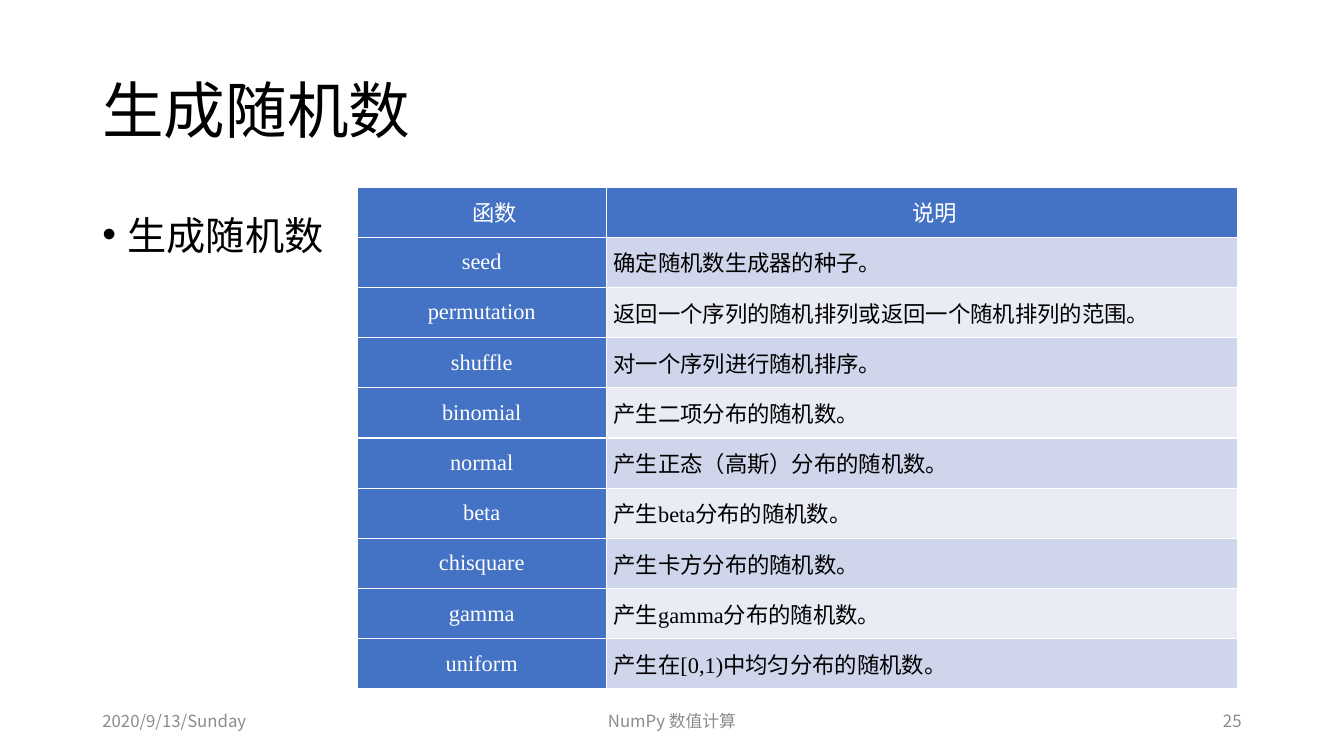
from pptx import Presentation
from pptx.dml.color import RGBColor
from pptx.enum.text import MSO_ANCHOR, PP_ALIGN
from pptx.oxml.ns import qn
from pptx.util import Cm, Pt
from lxml.etree import SubElement

TITLE = "生成随机数"
BULLET = "生成随机数"
FOOTERS = [
    ("2020/9/13/Sunday", 2.33, 7.62, PP_ALIGN.LEFT),
    ("NumPy 数值计算", 11.22, 11.43, PP_ALIGN.CENTER),
    ("25", 23.92, 7.62, PP_ALIGN.RIGHT),
]
HEADINGS = ("函数", "说明")
FUNCTIONS = [
    ("seed", "确定随机数生成器的种子。"),
    ("permutation", "返回一个序列的随机排列或返回一个随机排列的范围。"),
    ("shuffle", "对一个序列进行随机排序。"),
    ("binomial", "产生二项分布的随机数。"),
    ("normal", "产生正态（高斯）分布的随机数。"),
    ("beta", "产生beta分布的随机数。"),
    ("chisquare", "产生卡方分布的随机数。"),
    ("gamma", "产生gamma分布的随机数。"),
    ("uniform", "产生在[0,1)中均匀分布的随机数。"),
]
COLORS = {
    "text": "000000", "footer": "8C8C8C", "white": "FFFFFF",
    "header": "4472C4", "odd": "CFD5EA", "even": "E9EBF5",
}
SANS, SERIF = "Noto Sans CJK SC", "Times New Roman"
COLUMN_WIDTHS = (6.28, 15.9)
TABLE_LEFT, TABLE_TOP, TABLE_HEIGHT = 9, 4.71, 12.65


def write(frame, text, size, color="text", font=SANS, align=PP_ALIGN.LEFT,
          spacing=None, before=None, margin=0, indent=0, bullet=None):
    frame.word_wrap = True
    paragraph = frame.paragraphs[0]
    paragraph.alignment = align
    paragraph.line_spacing = spacing
    if before is not None:
        paragraph.space_before = Pt(before)
    properties = paragraph._p.get_or_add_pPr()
    properties.set("marL", str(Cm(margin)))
    properties.set("indent", str(Cm(indent)))
    if bullet:
        SubElement(properties, qn("a:buFont")).set("typeface", "Arial")
        SubElement(properties, qn("a:buChar")).set("char", bullet)
    run = paragraph.add_run()
    run.text = text
    run.font.size = Pt(size)
    run.font.bold = False
    run.font.name = font
    run.font.color.rgb = RGBColor.from_string(COLORS[color])
    SubElement(run._r.get_or_add_rPr(), qn("a:ea")).set("typeface", SANS)


def add_box(slide, left, top, width, height, anchor):
    box = slide.shapes.add_textbox(Cm(left), Cm(top), Cm(width), Cm(height))
    box.text_frame.vertical_anchor = anchor
    return box.text_frame


def style_cell(cell, fill):
    cell.margin_left = cell.margin_right = Cm(0.18)
    cell.margin_top = cell.margin_bottom = 0
    cell.vertical_anchor = MSO_ANCHOR.MIDDLE
    properties = cell._tc.get_or_add_tcPr()
    for side in ("lnL", "lnR", "lnT", "lnB"):
        border = SubElement(properties, qn(f"a:{side}"), w=str(Pt(1)))
        paint = SubElement(border, qn("a:solidFill"))
        SubElement(paint, qn("a:srgbClr")).set("val", COLORS["white"])
    cell.fill.solid()
    cell.fill.fore_color.rgb = RGBColor.from_string(COLORS[fill])


def add_function_table(slide):
    rows = [HEADINGS] + FUNCTIONS
    table = slide.shapes.add_table(
        len(rows), len(HEADINGS), Cm(TABLE_LEFT), Cm(TABLE_TOP),
        Cm(sum(COLUMN_WIDTHS)), Cm(TABLE_HEIGHT)).table
    for column, width in zip(table.columns, COLUMN_WIDTHS):
        column.width = Cm(width)
    for r, row in enumerate(rows):
        for c, text in enumerate(row):
            heading = r == 0 or c == 0
            cell = table.cell(r, c)
            style_cell(cell, "header" if heading else "odd" if r % 2 else "even")
            write(cell.text_frame, text, 16, font=SERIF,
                  color="white" if heading else "text",
                  align=PP_ALIGN.CENTER if heading else PP_ALIGN.JUSTIFY,
                  indent=0.66 if r == 0 else 0)


def main():
    deck = Presentation()
    deck.slide_width, deck.slide_height = Cm(33.87), Cm(19.05)
    slide = deck.slides.add_slide(deck.slide_layouts[6])
    write(add_box(slide, 2.33, 1.01, 29.21, 3.68, MSO_ANCHOR.MIDDLE),
          TITLE, 44, spacing=0.9)
    write(add_box(slide, 2.33, 5.07, 29.21, 12.09, MSO_ANCHOR.TOP),
          BULLET, 28, spacing=1.1, before=10, margin=0.64, indent=-0.64, bullet="•")
    for text, left, width, align in FOOTERS:
        write(add_box(slide, left, 17.66, width, 1.01, MSO_ANCHOR.MIDDLE),
              text, 12, color="footer", align=align)
    add_function_table(slide)
    deck.save("out.pptx")


if __name__ == "__main__":
    main()
